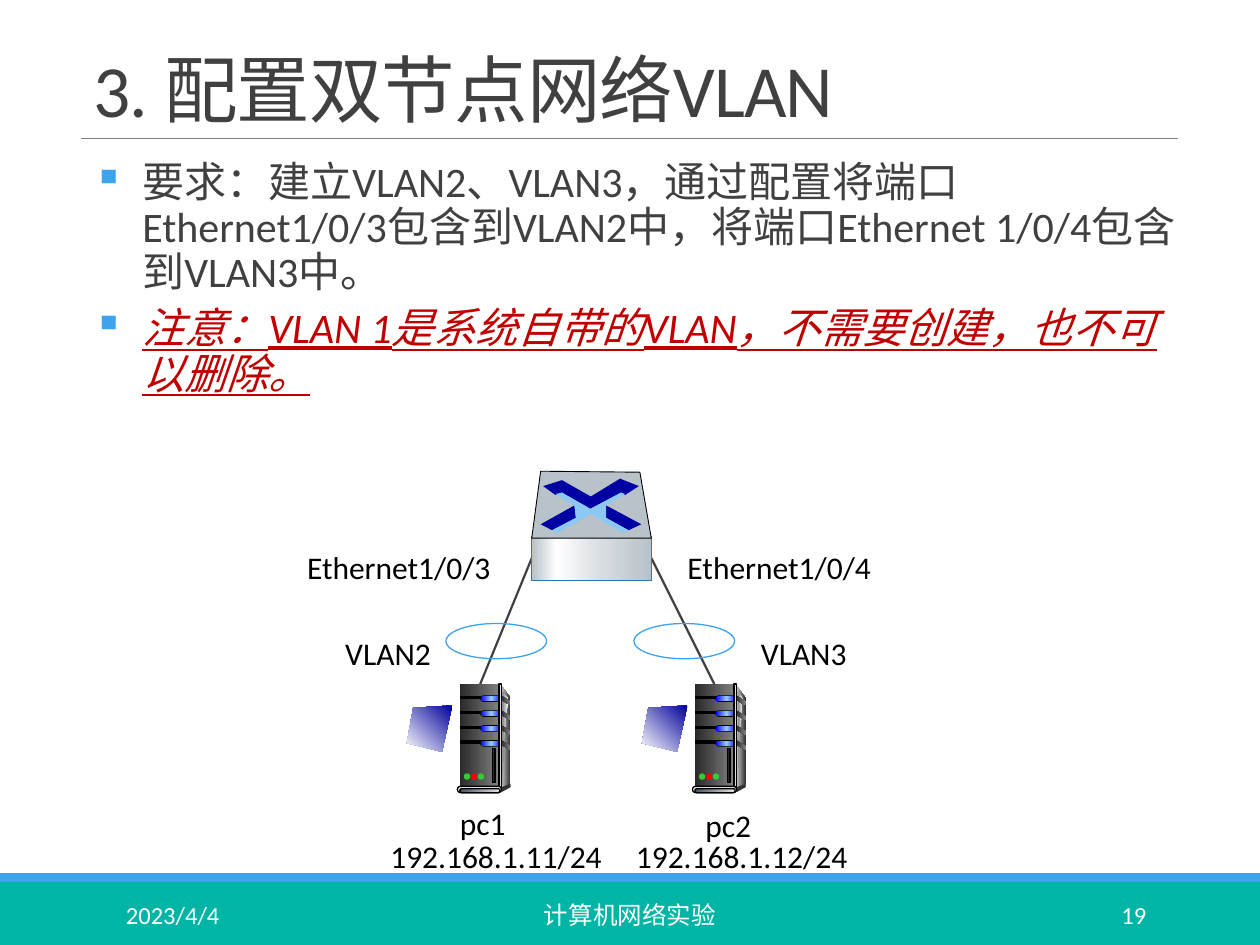
"""Build the slide on configuring VLANs in a two-node network."""
import pptx
import pptx.dml.color
import pptx.enum.shapes
import pptx.enum.text
import pptx.oxml
import pptx.oxml.ns
import pptx.util
from lxml import etree

Cm = pptx.util.Cm
Pt = pptx.util.Pt
RGBColor = pptx.dml.color.RGBColor
MSO_SHAPE = pptx.enum.shapes.MSO_SHAPE
PP_ALIGN = pptx.enum.text.PP_ALIGN
MSO_ANCHOR = pptx.enum.text.MSO_ANCHOR
MSO_AUTO_SIZE = pptx.enum.text.MSO_AUTO_SIZE
qn = pptx.oxml.ns.qn

FONT = "Calibri"
WHITE = RGBColor(0xFF, 0xFF, 0xFF)
BLACK = RGBColor(0, 0, 0)
TEXT = RGBColor(0x40, 0x40, 0x40)
GREY = RGBColor(0x80, 0x80, 0x80)
SKY = RGBColor(0x3D, 0xA3, 0xED)
TEAL = RGBColor(0x00, 0xB4, 0xA6)
WARNING = RGBColor(0xC0, 0, 0)
COAL = RGBColor(0x29, 0x29, 0x29)
DARK = RGBColor(0x33, 0x33, 0x33)
SILVER = RGBColor(0xDD, 0xDD, 0xDD)
PALE = RGBColor(0xF8, 0xF8, 0xF8)
BLUE = RGBColor(0, 0, 0xFF)
LIGHT_BLUE = RGBColor(0x99, 0xCC, 0xFF)
SLATE = RGBColor(0x44, 0x54, 0x6A)
ASH = RGBColor(0xE7, 0xE6, 0xE6)
GREEN = RGBColor(0x33, 0xCC, 0x33)
RED = RGBColor(0xFF, 0, 0)
SCREEN = RGBColor(0, 0, 0x99)
STEEL = RGBColor(0xB8, 0xC2, 0xC9)
MIST = RGBColor(0xD6, 0xDC, 0xE0)
SWITCH_EDGE = RGBColor(0x2D, 0x79, 0xAF)
NAVY = RGBColor(0, 0, 0xA3)
ICE = RGBColor(0x8B, 0xC8, 0xF4)

METAL = (0, [(0, COAL), (100, GREY)])
SIDE = (0, [(0, SILVER), (100, DARK)])
SHEEN = (0, [(0, GREY), (100, PALE)])
POST = (0, [(0, DARK), (50, SILVER), (100, DARK)])
DRIVE = (0, [(0, BLUE), (50, LIGHT_BLUE), (100, BLUE)])
BASE = (0, [(0, SLATE), (100, ASH)])
DISPLAY = (225, [(0, SCREEN), (100, WHITE)])
SWITCH_FRONT = (0, [(0, STEEL), (21, WHITE), (60, MIST), (100, STEEL)])

OUTLINE = "outline"
RECT = MSO_SHAPE.RECTANGLE
PILL = MSO_SHAPE.ROUNDED_RECTANGLE
OVAL = MSO_SHAPE.OVAL

prs = pptx.Presentation()
prs.slide_width, prs.slide_height = Cm(25.4), Cm(19.05)
slide = prs.slides.add_slide(prs.slide_layouts[5])


def draw(kind, geometry, fill=None, line=None, width=0.75, left=0, top=0):
    if kind == OUTLINE:
        points = [(Cm(left + x), Cm(top + y)) for x, y in geometry]
        builder = slide.shapes.build_freeform(*points[0])
        builder.add_line_segments(points[1:], close=True)
        shape = builder.convert_to_shape()
    else:
        x, y, w, h = geometry
        shape = slide.shapes.add_shape(kind, Cm(left + x), Cm(top + y), Cm(w), Cm(h))
    if kind == PILL:
        shape.adjustments[0] = 0.5
    shape.shadow.inherit = False
    if fill is None:
        shape.fill.background()
    elif isinstance(fill, RGBColor):
        shape.fill.solid()
        shape.fill.fore_color.rgb = fill
    else:
        angle, stops = fill
        shape.fill.gradient()
        shape.fill.gradient_angle = angle
        stop_list = next(shape.element.iter(qn("a:gsLst")))
        for old_stop in list(stop_list):
            stop_list.remove(old_stop)
        for position, color in stops:
            stop = etree.SubElement(stop_list, qn("a:gs"), pos=str(position * 1000))
            etree.SubElement(stop, qn("a:srgbClr"), val=str(color))
    if line is None:
        shape.line.fill.background()
    else:
        shape.line.color.rgb = line
        shape.line.width = Pt(width)


def label(text, x, y, w, size=18, color=BLACK, align=PP_ALIGN.LEFT, wrap=False):
    box = slide.shapes.add_textbox(Cm(x), Cm(y), Cm(w), Cm(1.02))
    frame = box.text_frame
    frame.word_wrap = wrap
    frame.auto_size = MSO_AUTO_SIZE.NONE if wrap else MSO_AUTO_SIZE.SHAPE_TO_FIT_TEXT
    frame.vertical_anchor = MSO_ANCHOR.MIDDLE if wrap else MSO_ANCHOR.TOP
    paragraph = frame.paragraphs[0]
    paragraph.text = text
    paragraph.alignment = align
    paragraph.font.name, paragraph.font.size = FONT, Pt(size)
    paragraph.font.color.rgb = color


draw(RECT, (0, 17.6, 25.4, 0.18), SKY)
draw(RECT, (0, 17.78, 25.4, 1.27), TEAL)

title = slide.shapes.title
title.left, title.top, title.width, title.height = Cm(1.63), Cm(0.79), Cm(22.12), Cm(2.01)
title.text_frame.auto_size = MSO_AUTO_SIZE.NONE
title.text_frame.vertical_anchor = MSO_ANCHOR.BOTTOM
heading = title.text_frame.paragraphs[0]
heading.text = "3. 配置双节点网络VLAN"
heading.alignment = PP_ALIGN.LEFT
heading.line_spacing = 0.85
heading.font.name, heading.font.size = FONT, Pt(42)
heading.font.color.rgb = TEXT
heading.runs[0].font._element.set("spc", "-50")

requirements = slide.shapes.add_textbox(Cm(1.63), Cm(3.12), Cm(22.12), Cm(14.12)).text_frame
requirements.word_wrap = True
requirements.margin_left = requirements.margin_right = 0
for index, (text, color, stressed) in enumerate([
    ("要求：建立VLAN2、VLAN3，通过配置将端口Ethernet1/0/3包含到VLAN2中，将端口Ethernet 1/0/4包含到VLAN3中。", TEXT, False),
    ("注意：VLAN 1是系统自带的VLAN，不需要创建，也不可以删除。", WARNING, True),
]):
    item = requirements.add_paragraph() if index else requirements.paragraphs[0]
    item.text = text
    item.line_spacing = 0.9
    item.space_before, item.space_after = Pt(2 * index), Pt(4)
    properties = item._p.get_or_add_pPr()
    properties.set("marL", str(Cm(1.24)))
    properties.set("indent", str(Cm(-0.99)))
    bullet_color = etree.SubElement(properties, qn("a:buClr"))
    etree.SubElement(bullet_color, qn("a:srgbClr"), val=str(SKY))
    etree.SubElement(properties, qn("a:buChar"), char="▪")
    item.font.name, item.font.size = FONT, Pt(24)
    item.font.color.rgb = color
    item.font.italic = item.font.underline = stressed

label("2023/4/4", 2.29, 17.93, 5.16, 14, WHITE, wrap=True)
label("计算机网络实验", 7.67, 17.93, 10.06, 14, WHITE, PP_ALIGN.CENTER, True)
label("19", 20.62, 17.93, 2.74, 14, WHITE, PP_ALIGN.RIGHT, True)

server_parts = [
    (OUTLINE, [(0.84, 0.03), (1.02, 0.28), (1.02, 2.01), (0.81, 2.11)], SIDE),
    (RECT, (0, 0, 0.79, 2.08), METAL),
    (OUTLINE, [(0.86, 0.15), (0.97, 0.3), (0.88, 1.2), (0.86, 2.03)], SHEEN),
]
for y in [0.23 + 0.3 * row for row in range(4)]:
    server_parts += [
        (OUTLINE, [(0.83, y), (1.02, y + 0.12), (1.02, y + 0.2), (0.83, y + 0.09)], METAL),
        (RECT, (0.01, y + 0.02, 0.46, 0.05), BLACK, BLACK),
        (PILL, (0.41, y, 0.43, 0.13), BLACK),
        (PILL, (0.42, y + 0.02, 0.43, 0.1), DRIVE),
    ]
server_parts += [
    (RECT, (0.79, 0, 0.05, 2.08), POST, BLACK),
    (OVAL, (0.99, 2.01, 0.03, 0.08), DARK),
    (OUTLINE, [(0.84, 2.08), (0.84, 2.18), (1.02, 2.08), (1.02, 2.01)], DARK),
    (PILL, (-0.05, 2.06, 0.89, 0.13), SILVER, BLACK),
    (PILL, (0, 2.11, 0.81, 0.08), BASE, BLACK),
    (OVAL, (0.08, 1.8, 0.13, 0.13), GREEN),
    (OVAL, (0.22, 1.8, 0.13, 0.13), RED),
    (OVAL, (0.36, 1.8, 0.13, 0.13), GREEN),
    (RECT, (0.66, 1.3, 0.05, 0.69), COAL, BLACK),
    (OUTLINE, [(-0.15, 0.43), (-0.94, 0.48), (-1.07, 1.19), (-0.36, 1.37)], DISPLAY),
]
for server_left in (9.27, 14.01):
    for part in server_parts:
        draw(*part, left=server_left, top=13.79)

for x1, y1, x2, y2, color, width in [
    (1.63, 2.79, 23.75, 2.79, GREY, 0.5),
    (9.68, 13.79, 10.72, 11.25, TEXT, 1.25),
    (14.4, 13.79, 13.13, 11.25, TEXT, 1.25),
]:
    link = slide.shapes.add_connector(pptx.enum.shapes.MSO_CONNECTOR.STRAIGHT, Cm(x1), Cm(y1), Cm(x2), Cm(y2))
    link.line.color.rgb, link.line.width = color, Pt(width)
    etree.SubElement(link._element.spPr, qn("a:effectLst"))

draw(RECT, (10.72, 10.82, 2.41, 0.89), SWITCH_FRONT, SWITCH_EDGE, 0.5)
draw(OUTLINE, [(10.72, 10.85), (10.9, 9.5), (12.9, 9.52), (13.13, 10.85)], STEEL, BLACK, 0.5)
draw(OUTLINE, [(12.5, 9.65), (12.88, 9.8), (12.6, 9.98), (12.52, 9.93), (11.89, 10.26),
               (11.33, 9.93), (11.2, 9.98), (10.95, 9.8), (11.33, 9.68), (11.91, 10.01)], NAVY)
draw(OUTLINE, [(12.22, 10.19), (12.93, 10.57), (12.67, 10.69), (12.22, 10.44)], NAVY)
draw(OUTLINE, [(11.58, 10.19), (11.61, 10.44), (11.13, 10.69), (10.9, 10.57)], NAVY)
draw(OUTLINE, [(11.2, 9.96), (11.33, 9.93), (11.91, 10.26), (12.52, 9.93), (12.6, 9.96), (12.22, 10.19), (12.22, 10.44),
               (12.67, 10.69), (12.55, 10.74), (11.91, 10.36), (11.25, 10.74), (11.13, 10.69), (11.61, 10.44), (11.58, 10.19)], ICE)

for ring_left in (8.99, 12.78):
    draw(OVAL, (ring_left, 12.57, 2.03, 0.71), line=SKY)
for text, x, y, w in [
    ("Ethernet1/0/3", 5.94, 10.92, 4.27), ("Ethernet1/0/4", 13.61, 10.92, 4.27),
    ("pc1", 9.02, 16.08, 1.45), ("pc2", 13.97, 16.13, 1.45),
    ("192.168.1.11/24", 7.62, 16.74, 4.83), ("192.168.1.12/24", 12.57, 16.74, 4.83),
    ("VLAN2", 6.71, 12.65, 2.26), ("VLAN3", 15.09, 12.65, 2.26),
]:
    label(text, x, y, w)

prs.save("out.pptx")
